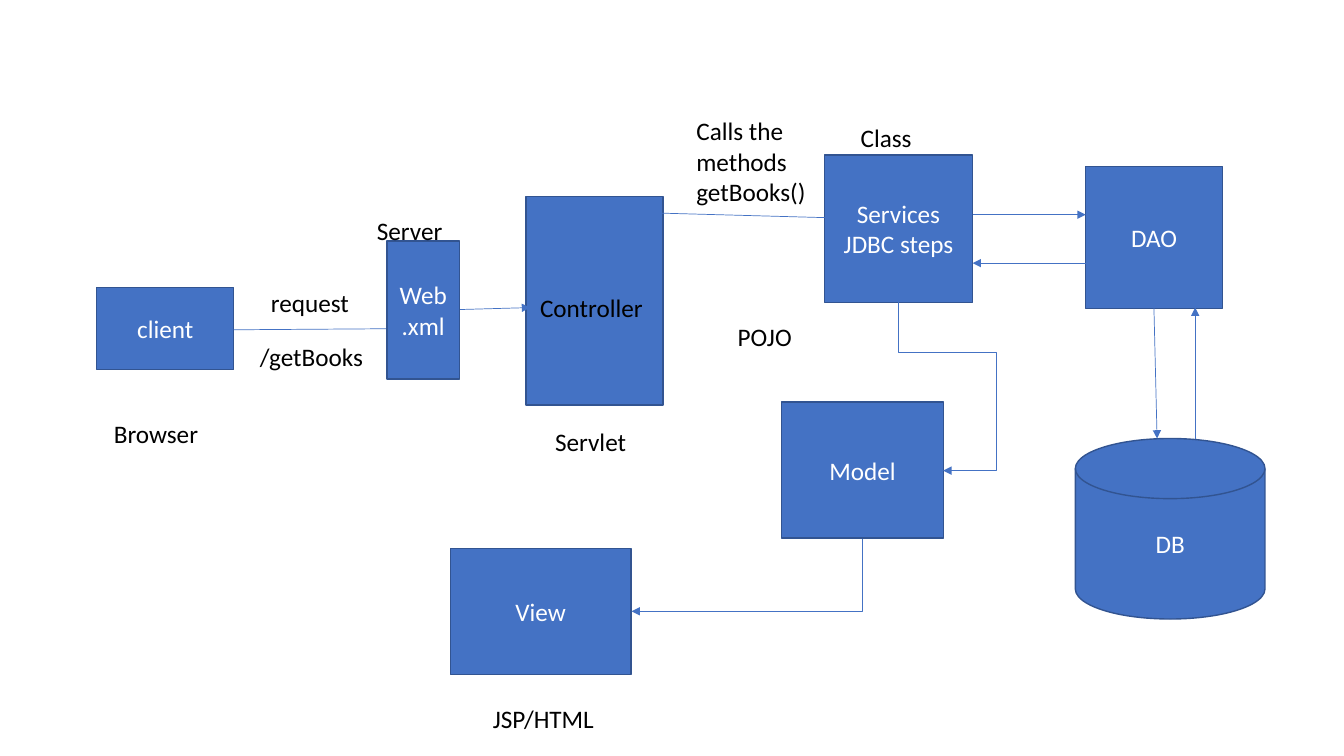
from dataclasses import dataclass, field

from lxml import etree
from pptx import Presentation
from pptx import util as u
from pptx.dml import color
from pptx.enum import shapes, text
from pptx.oxml import ns


@dataclass(frozen=True)
class Theme:
    fill: color.RGBColor = color.RGBColor(0x44, 0x72, 0xC4)
    border: color.RGBColor = color.RGBColor(0x32, 0x54, 0x91)
    light: color.RGBColor = color.RGBColor(0xFF, 0xFF, 0xFF)
    dark: color.RGBColor = color.RGBColor(0, 0, 0)
    font: str = "Calibri"
    size: u.Pt = u.Pt(18)
    border_width: u.Pt = u.Pt(1)
    link_width: u.Pt = u.Pt(0.5)


@dataclass(frozen=True)
class Box:
    lines: tuple[str, ...]
    left: float
    top: float
    width: float
    height: float
    kind: shapes.MSO_SHAPE = shapes.MSO_SHAPE.RECTANGLE


@dataclass(frozen=True)
class Label:
    words: str
    left: float
    top: float
    width: float
    height: float = 1.03


@dataclass(frozen=True)
class Link:
    x1: float
    y1: float
    x2: float
    y2: float


@dataclass(frozen=True)
class Elbow:
    preset: str
    left: float
    top: float
    width: float
    height: float
    turn: int
    flipped: bool = False
    bends: dict[str, int] = field(default_factory=dict)


THEME = Theme()

COMPONENTS = [
    Box(("client",), 2.44, 7.24, 3.45, 2.08),
    Box((), 13.26, 4.95, 3.45, 5.26),
    Box(("Model",), 19.69, 10.13, 4.09, 3.43),
    Box(("View",), 11.35, 13.82, 4.55, 3.18),
    Box(("Services", "JDBC steps"), 20.78, 3.91, 3.73, 3.71),
    Box(("DAO",), 27.36, 4.19, 3.45, 3.58),
    Box(("DB",), 27.1, 11.05, 4.78, 4.55, shapes.MSO_SHAPE.FLOWCHART_MAGNETIC_DISK),
]
WEB_XML = Box(("Web.xml",), 9.75, 6.07, 1.83, 3.48)

LINKS = [
    Link(5.89, 8.31, 10.36, 8.28),
    Link(14.4, 5.31, 21.03, 5.49),
    Link(24.51, 5.41, 27.36, 5.41),
    Link(27.36, 6.63, 24.51, 6.63),
    Link(29.08, 7.75, 29.16, 11.05),
    Link(30.12, 11.05, 30.12, 7.75),
    Link(11.58, 7.8, 13.36, 7.75),
]
ELBOWS = [
    Elbow("bentConnector2", 17.91, 11.58, 1.83, 5.82, 90),
    Elbow("bentConnector4", 21.08, 9.17, 4.24, 1.14, 270, True,
          {"adj1": 29700, "adj2": 217600}),
]

LABELS = [
    Label("Servlet", 13.74, 10.62, 3.91),
    Label("Controller", 13.36, 7.24, 4.55),
    Label("Browser", 2.62, 10.41, 3.25),
    Label("request", 6.58, 7.11, 2.9),
    Label("/getBooks", 6.3, 8.48, 3.28),
    Label("POJO", 18.34, 7.98, 3),
    Label("JSP/HTML", 12.17, 17.6, 3.73),
    Label("Class", 21.44, 2.95, 2.92),
    Label("Calls the methods getBooks()", 17.3, 2.79, 4.27, 2.57),
    Label("Server", 9.25, 5.31, 2.92),
]


def add_span(para, words: str, tint: color.RGBColor) -> None:
    span = para.add_run()
    span.text = words
    span.font.name = THEME.font
    span.font.size = THEME.size
    span.font.color.rgb = tint


def draw_box(page, box: Box) -> None:
    shape = page.shapes.add_shape(
        box.kind, u.Cm(box.left), u.Cm(box.top), u.Cm(box.width), u.Cm(box.height))
    shape.shadow.inherit = False
    shape.fill.solid()
    shape.fill.fore_color.rgb = THEME.fill
    shape.line.color.rgb = THEME.border
    shape.line.width = THEME.border_width
    frame = shape.text_frame
    frame.word_wrap = True
    frame.vertical_anchor = text.MSO_ANCHOR.MIDDLE
    para = frame.paragraphs[0]
    para.alignment = text.PP_ALIGN.CENTER
    for index, words in enumerate(box.lines):
        if index:
            para.add_line_break()
        add_span(para, words, THEME.light)


def draw_label(page, label: Label) -> None:
    frame = page.shapes.add_textbox(
        u.Cm(label.left), u.Cm(label.top), u.Cm(label.width), u.Cm(label.height)).text_frame
    frame.word_wrap = True
    frame.auto_size = text.MSO_AUTO_SIZE.SHAPE_TO_FIT_TEXT
    add_span(frame.paragraphs[0], label.words, THEME.dark)


def draw_link(page, link: Link, kind=shapes.MSO_CONNECTOR.STRAIGHT):
    connector = page.shapes.add_connector(
        kind, u.Cm(link.x1), u.Cm(link.y1), u.Cm(link.x2), u.Cm(link.y2))
    connector.line.color.rgb = THEME.fill
    connector.line.width = THEME.link_width
    properties = connector._element.spPr
    etree.SubElement(properties.find(ns.qn("a:ln")), ns.qn("a:tailEnd"), type="triangle")
    etree.SubElement(properties, ns.qn("a:effectLst"))
    return connector


def draw_elbow(page, elbow: Elbow) -> None:
    extent = Link(elbow.left, elbow.top,
                  elbow.left + elbow.width, elbow.top + elbow.height)
    connector = draw_link(page, extent, shapes.MSO_CONNECTOR.ELBOW)
    properties = connector._element.spPr
    frame = properties.find(ns.qn("a:xfrm"))
    frame.set("rot", str(elbow.turn * 60000))
    if elbow.flipped:
        frame.set("flipH", "1")
    geometry = properties.find(ns.qn("a:prstGeom"))
    geometry.set("prst", elbow.preset)
    guides = geometry.find(ns.qn("a:avLst"))
    for name, amount in elbow.bends.items():
        etree.SubElement(guides, ns.qn("a:gd"), name=name, fmla=f"val {amount}")


def main() -> None:
    deck = Presentation()
    deck.slide_width, deck.slide_height = u.Cm(33.87), u.Cm(19.05)
    page = deck.slides.add_slide(deck.slide_layouts[6])
    for box in COMPONENTS:
        draw_box(page, box)
    for link in LINKS:
        draw_link(page, link)
    for elbow in ELBOWS:
        draw_elbow(page, elbow)
    draw_box(page, WEB_XML)
    for label in LABELS:
        draw_label(page, label)
    deck.save("out.pptx")


main()
